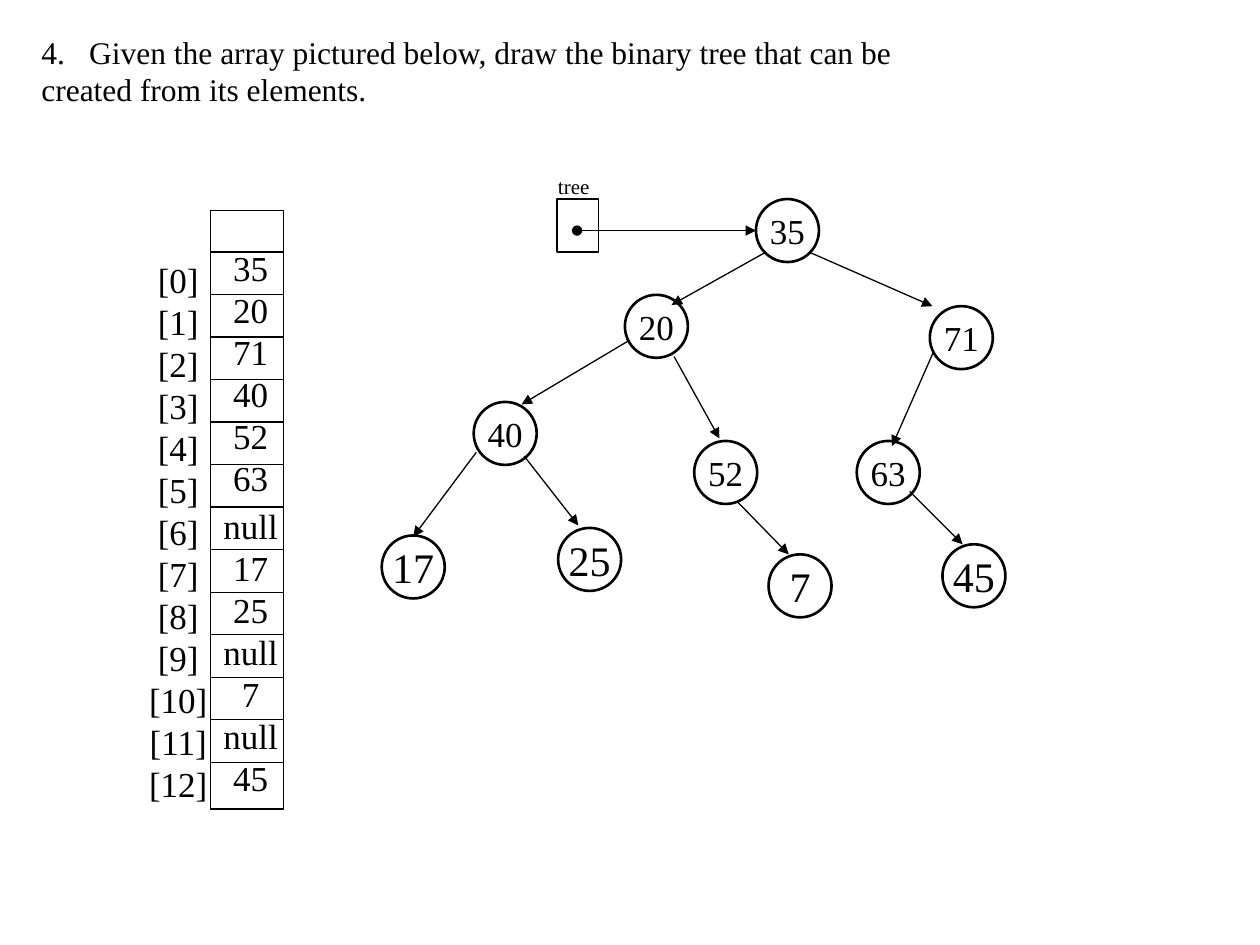
from dataclasses import dataclass

from pptx import Presentation
from pptx.dml.color import RGBColor
from pptx.enum.shapes import MSO_CONNECTOR as Conn, MSO_SHAPE as Shape
from pptx.enum.text import MSO_ANCHOR as Anchor, PP_ALIGN as Align
from pptx.oxml.ns import qn
from pptx.util import Inches, Pt
from lxml.etree import SubElement as Sub


@dataclass(frozen=True)
class Theme:
    font: str = "Times New Roman"
    ink: RGBColor = RGBColor(0, 0, 0)
    title: int = 18
    body: int = 20
    leaf: int = 24
    small: int = 12
    thin: float = 0.75
    thick: float = 1.5


class Board:
    def __init__(self, slide, theme):
        self.shapes = slide.shapes
        self.theme = theme

    def fill_text(self, frame, lines, size, align):
        frame.word_wrap = False
        for i, line in enumerate(lines):
            para = frame.paragraphs[0] if i == 0 else frame.add_paragraph()
            para.alignment = align
            run = para.add_run()
            run.text = line
            style = {"name": self.theme.font, "size": Pt(size)}
            for key, val in style.items():
                setattr(run.font, key, val)
            run.font.color.rgb = self.theme.ink
        return frame.paragraphs

    def text(self, x, y, w, h, lines, size, align=Align.LEFT):
        box = self.shapes.add_textbox(*map(Inches, (x, y, w, h)))
        return self.fill_text(box.text_frame, lines, size, align)

    def stroke(self, line, width):
        line.color.rgb = self.theme.ink
        line.width = Pt(width)

    def shape(self, kind, x, y, w, h, width):
        item = self.shapes.add_shape(kind, *map(Inches, (x, y, w, h)))
        item.shadow.inherit = False
        item.fill.background()
        self.stroke(item.line, width)
        return item

    def node(self, x, y, label, size):
        ring = self.shape(Shape.OVAL, x, y, 0.5, 0.5, self.theme.thick)
        frame = ring.text_frame
        frame.vertical_anchor = Anchor.MIDDLE
        self.fill_text(frame, [label], size, Align.CENTER)

    def line(self, x1, y1, x2, y2, **ends):
        """Draw a line; ends may hold headEnd and tailEnd, in that order."""
        item = self.shapes.add_connector(
            Conn.STRAIGHT, *map(Inches, (x1, y1, x2, y2)))
        self.stroke(item.line, self.theme.thin)
        props = item._element.spPr
        for tag, kind in ends.items():
            Sub(props.find(qn("a:ln")), qn(f"a:{tag}")).set("type", kind)
        Sub(props, qn("a:effectLst"))

    def number(self, para, start, indent):
        props = para._p.get_or_add_pPr()
        for key, val in {"marL": indent, "indent": -indent}.items():
            props.set(key, str(val))
        Sub(props, qn("a:buFont")).set("typeface", self.theme.font)
        mark = Sub(props, qn("a:buAutoNum"))
        for key, val in {"type": "arabicPeriod", "startAt": start}.items():
            mark.set(key, str(val))


VALUES = ["35", "20", "71", "40", "52", "63", "null",
          "17", "25", "null", "7", "null", "45"]
NODES = [(6, 1.58, "35"), (4.96, 2.34, "20"), (7.38, 2.43, "71"),
         (3.76, 3.19, "40"), (5.51, 3.5, "52"), (6.8, 3.5, "63")]
LEAVES = [(3.03, 4.25, "17"), (4.43, 4.19, "25"),
          (6.1, 4.4, "7"), (7.48, 4.32, "45")]
EDGES = [(6.08, 2, 5.33, 2.42), (6.42, 2, 7.4, 2.43),
         (4.98, 2.71, 4.14, 3.21), (5.35, 2.83, 5.71, 3.48),
         (7.41, 2.79, 7.08, 3.54), (3.78, 3.59, 3.28, 4.26),
         (4.16, 3.62, 4.59, 4.17), (5.85, 3.98, 6.26, 4.4),
         (7.22, 3.9, 7.64, 4.32)]


def main():
    deck = Presentation()
    deck.slide_width, deck.slide_height = Inches(10), Inches(7.5)
    theme = Theme()
    board = Board(deck.slides.add_slide(deck.slide_layouts[6]), theme)

    # Question
    paras = board.text(0.23, 0.21, 7.02, 0.71, [
        "Given the array pictured below, draw the binary tree that can be",
        "created from its elements."], theme.title)
    board.number(paras[0], 4, Inches(0.38))

    # Array frame and row rules
    left, right, top, pitch = 1.67, 2.25, 2, 4.05 / 12
    board.shape(Shape.RECTANGLE, left, 1.67, right - left, 4.75, theme.thin)
    for row in range(len(VALUES)):
        y = top + row * pitch
        board.line(left, y, right, y)

    # Array indices and values
    marks = [f"[{i}]" for i in range(len(VALUES))]
    board.text(1.08, 2, 0.67, 4.48, marks, theme.body, Align.CENTER)
    cells = board.text(left, 1.91, 0.64, 4.48, VALUES, theme.body,
                       Align.CENTER)
    cells[VALUES.index("null")].space_before = Pt(3)

    # Root pointer
    board.text(4.33, 1.33, 0.45, 0.3, ["tree"], theme.small)
    board.shape(Shape.RECTANGLE, 4.42, 1.58, 0.33, 0.42, theme.thin)
    board.line(4.58, 1.83, 6, 1.83, headEnd="oval", tailEnd="triangle")

    # Tree
    for group, size in ((NODES, theme.body), (LEAVES, theme.leaf)):
        for x, y, label in group:
            board.node(x, y, label, size)
    for edge in EDGES:
        board.line(*edge, tailEnd="triangle")

    deck.save("out.pptx")


if __name__ == "__main__":
    main()
